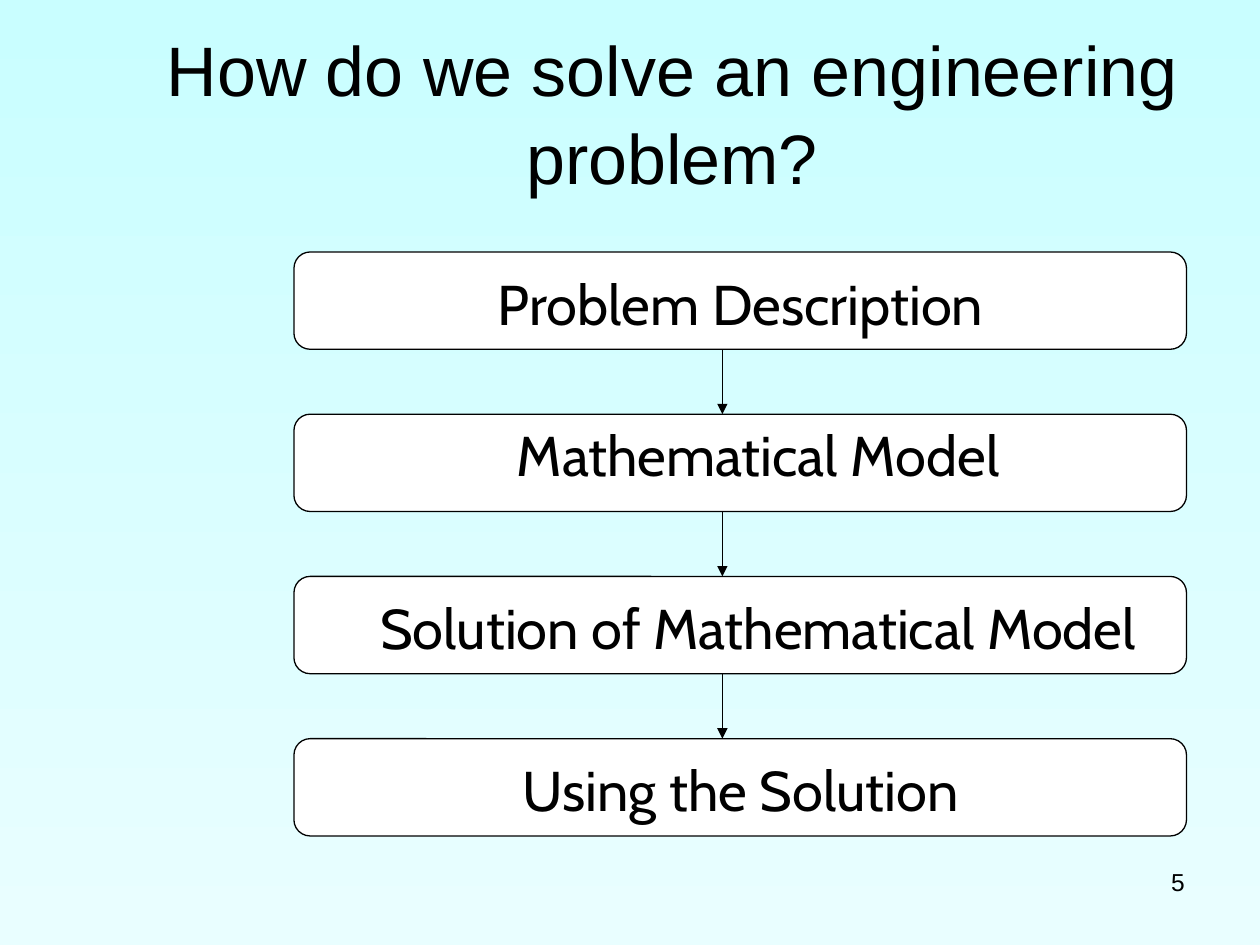
from lxml.etree import SubElement
from pptx import Presentation
from pptx.dml.color import RGBColor
from pptx.enum.shapes import MSO_CONNECTOR, MSO_SHAPE
from pptx.enum.text import MSO_ANCHOR, PP_ALIGN
from pptx.oxml.ns import qn
from pptx.util import Pt


def color(hex):
    return RGBColor.from_string(hex)


def write(shape, text, font="Cabin", size=32, align=PP_ALIGN.CENTER,
          anchor=MSO_ANCHOR.TOP, space=None):
    frame = shape.text_frame
    frame.word_wrap = True
    frame.vertical_anchor = anchor
    para = frame.paragraphs[0]
    para.alignment = align
    para.line_spacing = space
    run = para.add_run()
    run.text = text
    run.font.name = font
    run.font.size = Pt(size)
    run.font.color.rgb = color("000000")


deck = Presentation()
deck.slide_width, deck.slide_height = Pt(720), Pt(540)
slide = deck.slides.add_slide(deck.slide_layouts[5])
shapes = slide.shapes

back = slide.background.fill
back.gradient()
back.gradient_angle = 270
for stop, shade in zip(back.gradient_stops, ("C9FEFF", "E9FEFF")):
    stop.color.rgb = color(shade)

title = shapes.title
title.left, title.top, title.width, title.height = Pt(60), Pt(18), Pt(648), Pt(90)
write(title, "How do we solve an engineering problem?", font="Arial", size=40,
      anchor=MSO_ANCHOR.MIDDLE, space=1.05)

number = shapes.add_textbox(Pt(516), Pt(492), Pt(168), Pt(37.5))
write(number, "5", font="Arial", size=14, align=PP_ALIGN.RIGHT)

# Step name, label width, label offset below the top of its box
steps = [
    ("Problem Description", 469.5, 6.2),
    ("Mathematical Model", 489.5, 0),
    ("Solution of Mathematical Model", 489.5, 6.2),
    ("Using the Solution", 469.5, 6.2),
]
first, pitch, high = 144, 92.7, 55.6
for i, (name, wide, drop) in enumerate(steps):
    top = first + i * pitch
    box = shapes.add_shape(MSO_SHAPE.FLOWCHART_ALTERNATE_PROCESS,
                           Pt(168), Pt(top), Pt(510), Pt(high))
    box.shadow.inherit = False
    box.fill.solid()
    box.fill.fore_color.rgb = color("FFFFFF")
    box.line.color.rgb = color("000000")
    box.line.width = Pt(0.75)

    label = shapes.add_textbox(Pt(188.6), Pt(top + drop), Pt(wide), Pt(46))
    write(label, name)

    if i:
        arrow = shapes.add_connector(MSO_CONNECTOR.STRAIGHT, Pt(412.8),
                                     Pt(top - pitch + high), Pt(412.8), Pt(top))
        arrow.line.color.rgb = color("000000")
        arrow.line.width = Pt(0.75)
        SubElement(arrow.line._get_or_add_ln(), qn("a:tailEnd"), type="triangle")
        SubElement(arrow._element.spPr, qn("a:effectLst"))

deck.save("out.pptx")
